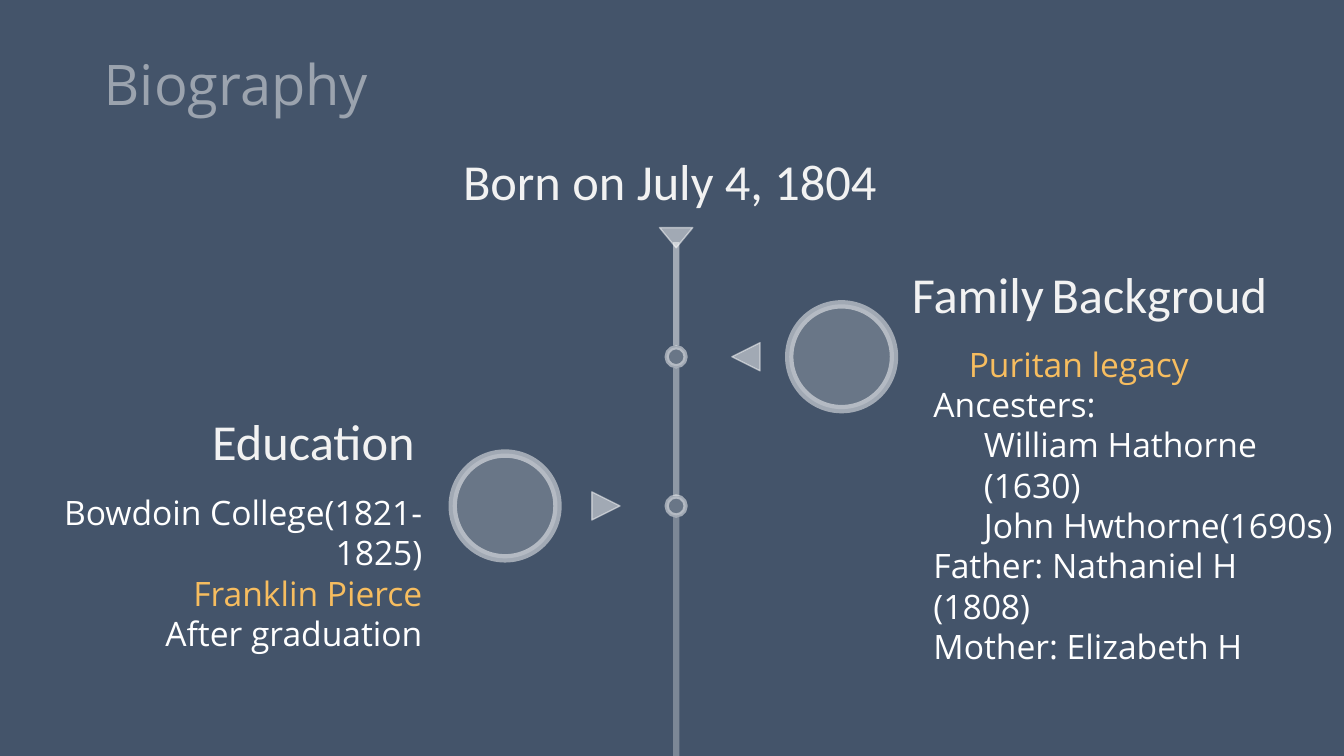
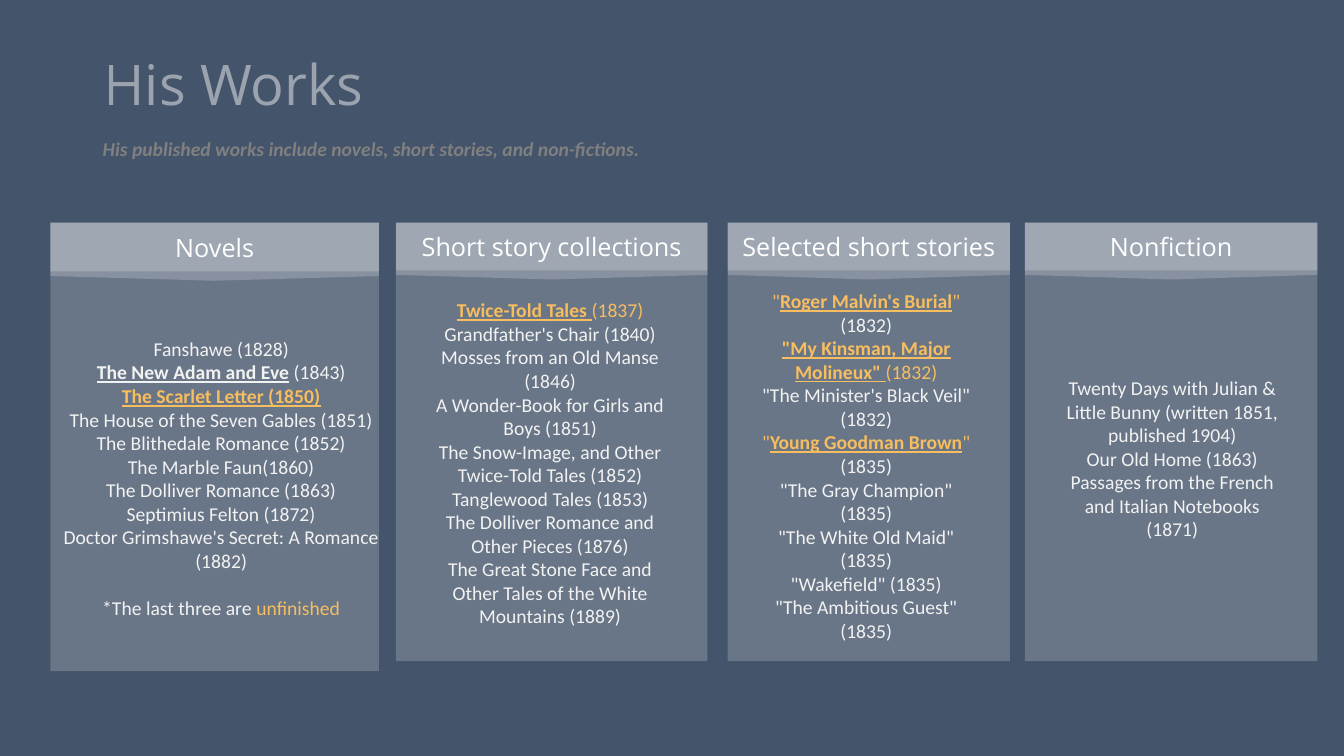
"""Build two slides on a writer's life and works."""
from lxml.etree import SubElement
from pptx import Presentation
from pptx.dml.color import RGBColor
from pptx.enum.shapes import MSO_CONNECTOR, MSO_SHAPE
from pptx.enum.text import MSO_ANCHOR, MSO_AUTO_SIZE, PP_ALIGN
from pptx.oxml.ns import qn
from pptx.util import Cm, Pt

SLATE = RGBColor(0x44, 0x54, 0x6A)
WHITE = RGBColor(0xFF, 0xFF, 0xFF)
PALE = RGBColor(0xF2, 0xF2, 0xF2)
GOLD = RGBColor(0xF7, 0xBD, 0x5F)
GREY = RGBColor(0x80, 0x80, 0x80)
SANS = "Open Sans"
BODY = "Calibri"
AXIS = 17.04
ROWS = (8.99, 12.75)
CARD_TOP = 5.61

NOVELS = [
    "Fanshawe (1828)",
    [("The New Adam and Eve", PALE, True), " (1843)"],
    [("The Scarlet Letter (1850)", GOLD, True)],
    "The House of the Seven Gables (1851)",
    "The Blithedale Romance (1852)",
    "The Marble Faun(1860)",
    "The Dolliver Romance (1863)",
    "Septimius Felton (1872)",
    "Doctor Grimshawe's Secret: A Romance (1882)",
    ["*The last three are ", ("unfinished", GOLD, False)],
]
TALES = [
    [("Twice-Told Tales ", GOLD, True), ("(1837)", GOLD, False)],
    "Grandfather's Chair (1840)",
    "Mosses from an Old Manse (1846)",
    "A Wonder-Book for Girls and Boys (1851)",
    "The Snow-Image, and Other Twice-Told Tales (1852)",
    "Tanglewood Tales (1853)",
    "The Dolliver Romance and Other Pieces (1876)",
    "The Great Stone Face and Other Tales of the White Mountains (1889)",
]
STORIES = [
    [('"', GOLD, False), ("Roger Malvin's Burial", GOLD, True),
     ('" ', GOLD, False), "(1832)"],
    [('"My Kinsman, Major Molineux" ', GOLD, True), ("(1832)", GOLD, False)],
    '"The Minister\'s Black Veil" (1832)',
    [('"', GOLD, False), ("Young Goodman Brown", GOLD, True),
     ('" ', GOLD, False), "(1835)"],
    '"The Gray Champion" (1835)',
    '"The White Old Maid" (1835)',
    '"Wakefield" (1835)',
    '"The Ambitious Guest" (1835)',
]
ESSAYS = [
    "Twenty Days with Julian & Little Bunny (written 1851, published 1904)",
    "Our Old Home (1863)",
    "Passages from the French and Italian Notebooks (1871)",
]
CARDS = [
    ("Novels", 1.27, 8.28, 11.3, NOVELS, (1.27, 8.36, 8.61, 8.05)),
    ("Short story collections", 9.98, 7.85, 11.05, TALES,
     (10.59, 7.39, 6.55, 8.64)),
    ("Selected short stories", 18.34, 7.11, 11.05, STORIES,
     (18.87, 7.16, 5.92, 9.25)),
    ("Nonfiction", 25.83, 7.37, 11.05, ESSAYS, (26.47, 9.35, 6.15, 4.45)),
]


def fade(node, alpha):
    for color in node.iter(qn("a:srgbClr")):
        SubElement(color, qn("a:alpha")).set("val", str(alpha * 1000))


def place(shape, area):
    shape.left, shape.top, shape.width, shape.height = map(Cm, area)


def write(frame, lines, font, size, ink=PALE, align=PP_ALIGN.LEFT):
    for index, line in enumerate(lines):
        para = frame.add_paragraph() if index else frame.paragraphs[0]
        para.alignment = align
        para.line_spacing = 1.0
        para.space_before = para.space_after = Pt(0)
        props = para._p.get_or_add_pPr()
        props.set("marL", "0")
        props.set("indent", "0")
        SubElement(props, qn("a:buNone"))
        for piece in [line] if isinstance(line, str) else line:
            words, tone, strong = (
                (piece, ink, False) if isinstance(piece, str) else piece)
            run = para.add_run()
            run.text = words
            run.font.name = font
            run.font.size = Pt(size)
            run.font.color.rgb = tone
            run.font.bold = strong
            run.font.underline = strong


def indent(para, length):
    para._p.get_or_add_pPr().set("marL", str(Cm(length)))


def label(slide, line, area, size=36, wrap=True, ink=PALE,
          align=PP_ALIGN.LEFT):
    frame = slide.shapes.add_textbox(*map(Cm, area)).text_frame
    frame.word_wrap = wrap
    frame.auto_size = MSO_AUTO_SIZE.SHAPE_TO_FIT_TEXT
    write(frame, [line], BODY, size, ink, align)
    return frame.paragraphs[0].runs


def fill_list(holder, lines, area, *style):
    place(holder, area)
    frame = holder.text_frame
    frame.word_wrap = True
    frame.auto_size = MSO_AUTO_SIZE.NONE
    frame.vertical_anchor = MSO_ANCHOR.TOP
    write(frame, lines, *style)
    holder.element.getparent().append(holder.element)
    return frame.paragraphs


def new_slide(deck, layout, title):
    slide = deck.slides.add_slide(deck.slide_layouts.get_by_name(layout))
    head = slide.shapes.title
    place(head, (2.36, 1.37, 29.36, 1.65))
    frame = head.text_frame
    frame.auto_size = MSO_AUTO_SIZE.NONE
    frame.vertical_anchor = MSO_ANCHOR.MIDDLE
    write(frame, [title], SANS, 40)
    frame.paragraphs[0].line_spacing = 0.9
    fade(head.element.txBody, 50)
    return slide


def veil(slide, kind, area, alpha=20):
    shape = slide.shapes.add_shape(kind, *map(Cm, area))
    shape.shadow.inherit = False
    shape.fill.solid()
    shape.fill.fore_color.rgb = WHITE
    fade(shape.element.spPr.find(qn("a:solidFill")), alpha)
    shape.line.fill.background()
    return shape


def mark(slide, kind, x, y, wide, tall, weight, alpha=20, turn=0):
    area = (x - wide / 2, y - tall / 2, wide, tall)
    shape = veil(slide, kind, area, alpha)
    shape.rotation = turn
    shape.line.color.rgb = WHITE
    shape.line.width = Pt(weight)
    fade(shape.element.spPr.find(qn("a:ln")), 50)


def stem(slide, top, end, alpha):
    line = slide.shapes.add_connector(
        MSO_CONNECTOR.STRAIGHT, Cm(AXIS), Cm(top), Cm(AXIS), Cm(end))
    line.line.color.rgb = WHITE
    line.line.width = Pt(4.5)
    props = line.element.spPr
    fade(props, alpha)
    SubElement(props, qn("a:effectLst"))


def card(slide, name, left, wide, tall):
    band = 0.109 * tall
    flap = 1.19 * band
    veil(slide, MSO_SHAPE.FLOWCHART_PROCESS, (left, CARD_TOP, wide, tall))
    plate = veil(slide, MSO_SHAPE.PENTAGON, (
        left + (wide - flap) / 2, CARD_TOP + (flap - wide) / 2, flap, wide))
    plate.rotation = 90
    plate.adjustments[0] = 0.081
    head = veil(slide, MSO_SHAPE.FLOWCHART_PROCESS,
                (left, CARD_TOP, wide, band))
    frame = head.text_frame
    frame.vertical_anchor = MSO_ANCHOR.MIDDLE
    frame.word_wrap = True
    write(frame, [name], SANS, 18, WHITE, PP_ALIGN.CENTER)


def life(deck):
    slide = new_slide(deck, "Two Content", "Biography")
    for top, end, alpha in ((6.1, 8.71, 50), (9.27, 12.5, 40),
                            (13.03, 19.05, 30)):
        stem(slide, top, end, alpha)
    mark(slide, MSO_SHAPE.ISOSCELES_TRIANGLE, AXIS, 5.99, 0.84, 0.51, 1,
         50, 180)
    for y, tip, disc, turn in zip(ROWS, (18.8, 15.27), (21.21, 12.73),
                                  (270, 90)):
        mark(slide, MSO_SHAPE.OVAL, AXIS, y, 0.48, 0.48, 3)
        mark(slide, MSO_SHAPE.FLOWCHART_EXTRACT, tip, y, 0.71, 0.71, 1,
             50, turn)
        mark(slide, MSO_SHAPE.OVAL, disc, y, 2.64, 2.64, 6)
    label(slide, "Born on July 4, 1804", (11.22, 3.66, 11.33, 1.8),
          wrap=False, align=PP_ALIGN.CENTER)
    runs = label(slide, ["Family", " ", "Backgroud"], (22.73, 6.5, 10.4, 1.8))
    runs[1].font.size = Pt(24)
    label(slide, "Education", (2.34, 10.21, 8.36, 1.8), align=PP_ALIGN.RIGHT)
    family = fill_list(slide.placeholders[1], [
        [("Puritan legacy", GOLD, False)],
        "Ancesters:",
        "William Hathorne (1630)",
        "John Hwthorne(1690s)",
        "Father: Nathaniel H (1808)",
        "Mother: Elizabeth H",
    ], (23.27, 8.53, 10.59, 6.4), SANS, 24, WHITE)
    for index, length in ((0, 0.89), (2, 1.27), (3, 1.27)):
        indent(family[index], length)
    fill_list(slide.placeholders[2], [
        "Bowdoin College(1821-1825)",
        [("Franklin Pierce", GOLD, False)],
        "After graduation",
    ], (-0.33, 12.27, 11.23, 3.33), SANS, 24, WHITE, PP_ALIGN.RIGHT)


def works(deck):
    slide = new_slide(deck, "Comparison", "His Works")
    note = label(
        slide,
        "His published works include novels, short stories, and non-fictions.",
        (2.34, 3.33, 27.18, 0.86), 14, ink=GREY)
    font = note[0].font
    font.bold = font.italic = True
    for index, (name, left, wide, tall, lines, area) in enumerate(CARDS, 1):
        card(slide, name, left, wide, tall)
        paras = fill_list(slide.placeholders[index], lines, area,
                          BODY, 14, PALE, PP_ALIGN.CENTER)
        if lines is NOVELS:
            paras[-1].space_before = Pt(17)


def main():
    deck = Presentation()
    deck.slide_width, deck.slide_height = Cm(33.87), Cm(19.05)
    back = deck.slide_master.background.fill
    back.solid()
    back.fore_color.rgb = SLATE
    life(deck)
    works(deck)
    deck.save("out.pptx")


main()
